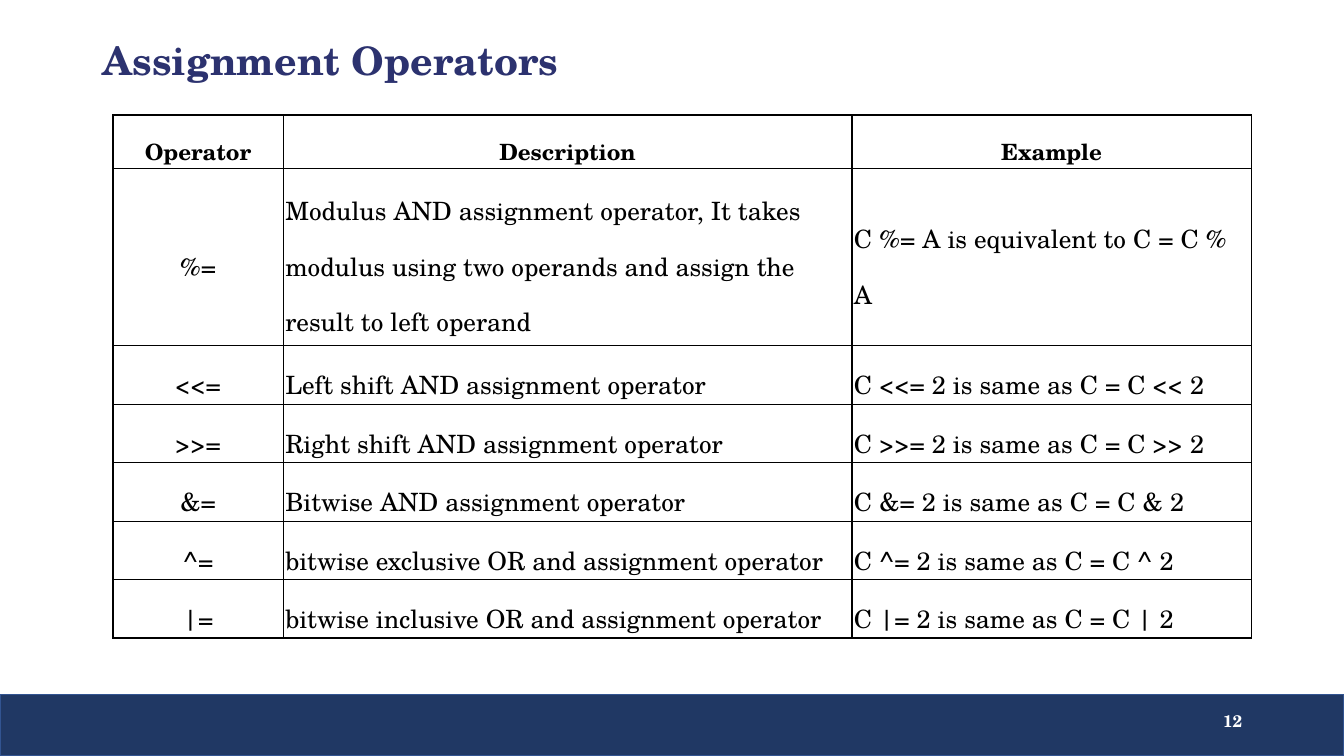
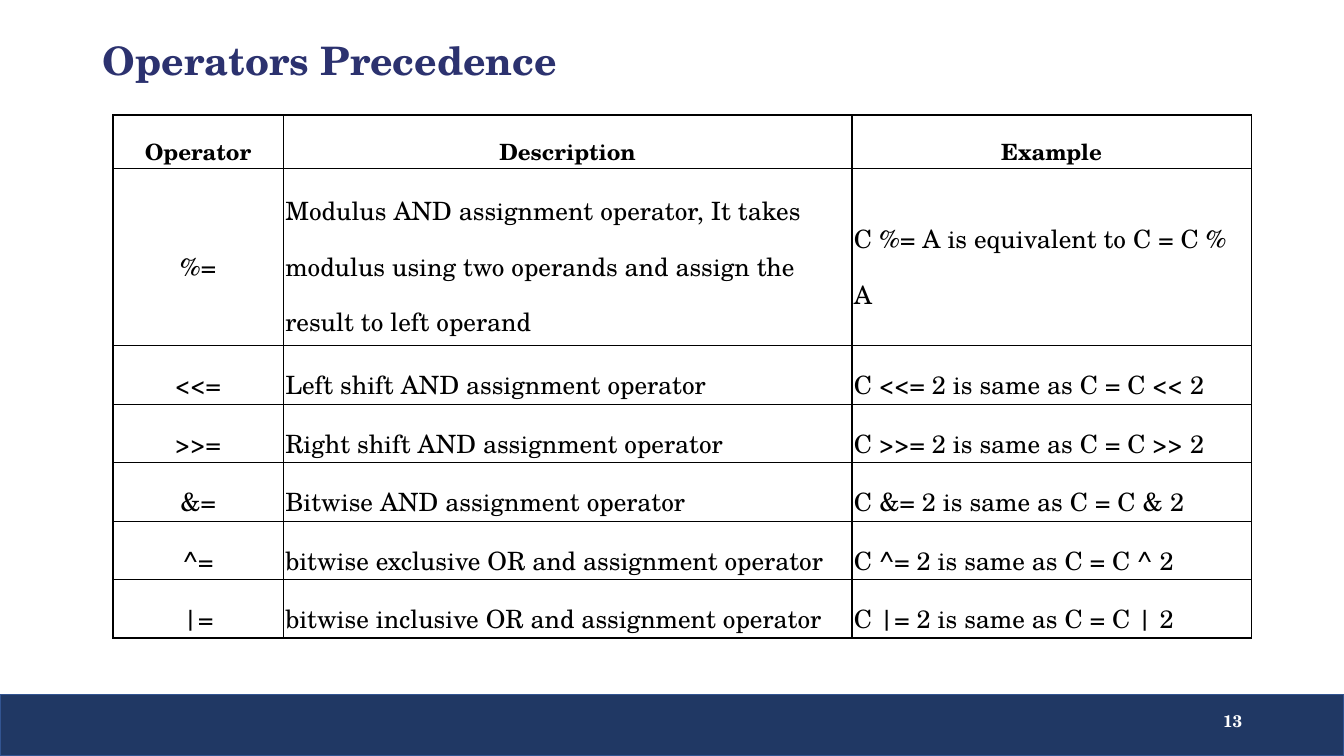
from lxml import etree
from pptx import Presentation
from pptx.dml.color import RGBColor
from pptx.enum import shapes, text
from pptx.oxml import ns
from pptx.util import Inches, Pt

FONT = "TeX Gyre Schola"
BLACK, WHITE = "000000", "FFFFFF"
TITLE_COLOUR, BAND_FILL, BAND_LINE = "2C326F", "203864", "325491"
WIDTH, HEIGHT = 13.33, 7.5
BAND_TOP = 6.89
TITLE_ONLY = 5

COLUMN_WIDTHS = [1.69, 5.64, 3.96]
ROW_HEIGHTS = [0.53, 1.76] + [0.58] * 5
OPERATORS = [
    ("Operator", "Description", "Example"),
    ("%=", "Modulus AND assignment operator, It takes modulus using two "
           "operands and assign the result to left operand",
     "C %= A is equivalent to C = C % A"),
    ("<<=", "Left shift AND assignment operator", "C <<= 2 is same as C = C << 2"),
    (">>=", "Right shift AND assignment operator", "C >>= 2 is same as C = C >> 2"),
    ("&=", "Bitwise AND assignment operator", "C &= 2 is same as C = C & 2"),
    ("^=", "bitwise exclusive OR and assignment operator", "C ^= 2 is same as C = C ^ 2"),
    ("|=", "bitwise inclusive OR and assignment operator", "C |= 2 is same as C = C | 2"),
]
PAGES = [("Assignment Operators", 12), ("Operators Precedence", 13)]


def rgb(value):
    return RGBColor.from_string(value)


def apply(target, values):
    """Set every attribute named in values on target."""
    for name, value in values.items():
        setattr(target, name, value)


def box(left, top, width, height):
    return dict(left=Inches(left), top=Inches(top),
                width=Inches(width), height=Inches(height))


def write(frame, words, size, colour, bold=False, align="LEFT", spacing=1.0):
    frame.text = words
    paragraph = frame.paragraphs[0]
    apply(paragraph, dict(alignment=getattr(text.PP_ALIGN, align), line_spacing=spacing))
    font = paragraph.runs[0].font
    apply(font, dict(name=FONT, size=Pt(size), bold=bold))
    font.color.rgb = rgb(colour)


def add_band(slide):
    """Draw the bottom band and move it to the layout that all slides share."""
    band = slide.shapes.add_shape(
        shapes.MSO_SHAPE.RECTANGLE,
        **box(0, BAND_TOP, WIDTH, HEIGHT - BAND_TOP))
    band.shadow.inherit = False
    band.fill.solid()
    band.fill.fore_color.rgb = rgb(BAND_FILL)
    band.line.color.rgb = rgb(BAND_LINE)
    band.line.width = Pt(1)
    slide.slide_layout.shapes.element.append(band.element)


def add_title(slide, words):
    title = slide.shapes.title
    apply(title, box(0.92, 0.36, 11.3, 0.59))
    apply(title.text_frame, dict(vertical_anchor=text.MSO_ANCHOR.TOP, word_wrap=True,
                                 auto_size=text.MSO_AUTO_SIZE.NONE))
    write(title.text_frame, words, 28, TITLE_COLOUR, bold=True, spacing=0.9)


def add_page_number(slide, number):
    frame = slide.shapes.add_textbox(**box(9.42, 6.95, 3, 0.4)).text_frame
    apply(frame, dict(vertical_anchor=text.MSO_ANCHOR.MIDDLE, word_wrap=True))
    write(frame, str(number), 12, WHITE, bold=True, align="RIGHT")


def add_borders(cell, colour=BLACK, width=1):
    properties = cell._tc.get_or_add_tcPr()
    for position, side in enumerate(("lnL", "lnR", "lnT", "lnB")):
        line = etree.Element(ns.qn(f"a:{side}"), w=str(Pt(width)))
        fill = etree.SubElement(line, ns.qn("a:solidFill"))
        etree.SubElement(fill, ns.qn("a:srgbClr"), val=colour)
        properties.insert(position, line)


def format_cell(cell):
    inset = Inches(0.02)
    apply(cell, dict(margin_left=inset, margin_right=inset, margin_top=inset,
                     margin_bottom=inset, vertical_anchor=text.MSO_ANCHOR.MIDDLE))
    cell.fill.background()
    add_borders(cell)


def add_operator_table(slide):
    table = slide.shapes.add_table(
        len(OPERATORS), len(COLUMN_WIDTHS),
        **box(1.12, 1.14, sum(COLUMN_WIDTHS), sum(ROW_HEIGHTS))).table
    apply(table, dict(first_row=False, horz_banding=False))
    for column, width in zip(table.columns, COLUMN_WIDTHS):
        column.width = Inches(width)
    for r, (height, entries) in enumerate(zip(ROW_HEIGHTS, OPERATORS)):
        table.rows[r].height = Inches(height)
        header = r == 0
        for c, words in enumerate(entries):
            cell = table.cell(r, c)
            format_cell(cell)
            write(cell.text_frame, words, 16 if header else 18, BLACK, bold=header,
                  align="CENTER" if header or c == 0 else "LEFT", spacing=1.5)


def main():
    deck = Presentation()
    apply(deck, dict(slide_width=Inches(WIDTH), slide_height=Inches(HEIGHT)))
    layout = deck.slide_layouts[TITLE_ONLY]
    for index, (heading, number) in enumerate(PAGES):
        slide = deck.slides.add_slide(layout)
        if index == 0:
            add_band(slide)
        add_page_number(slide, number)
        add_title(slide, heading)
        add_operator_table(slide)
    deck.save("out.pptx")


if __name__ == "__main__":
    main()
